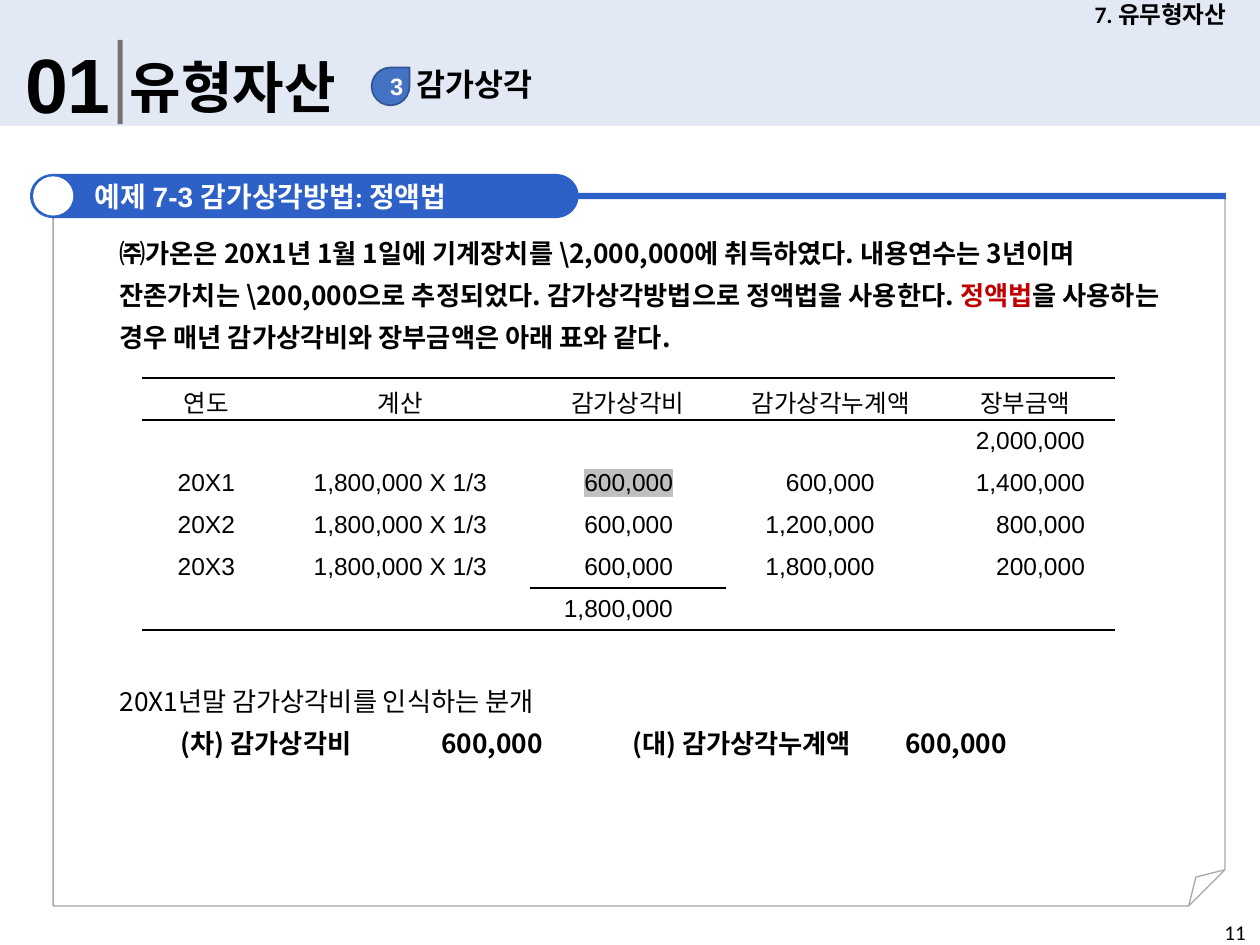
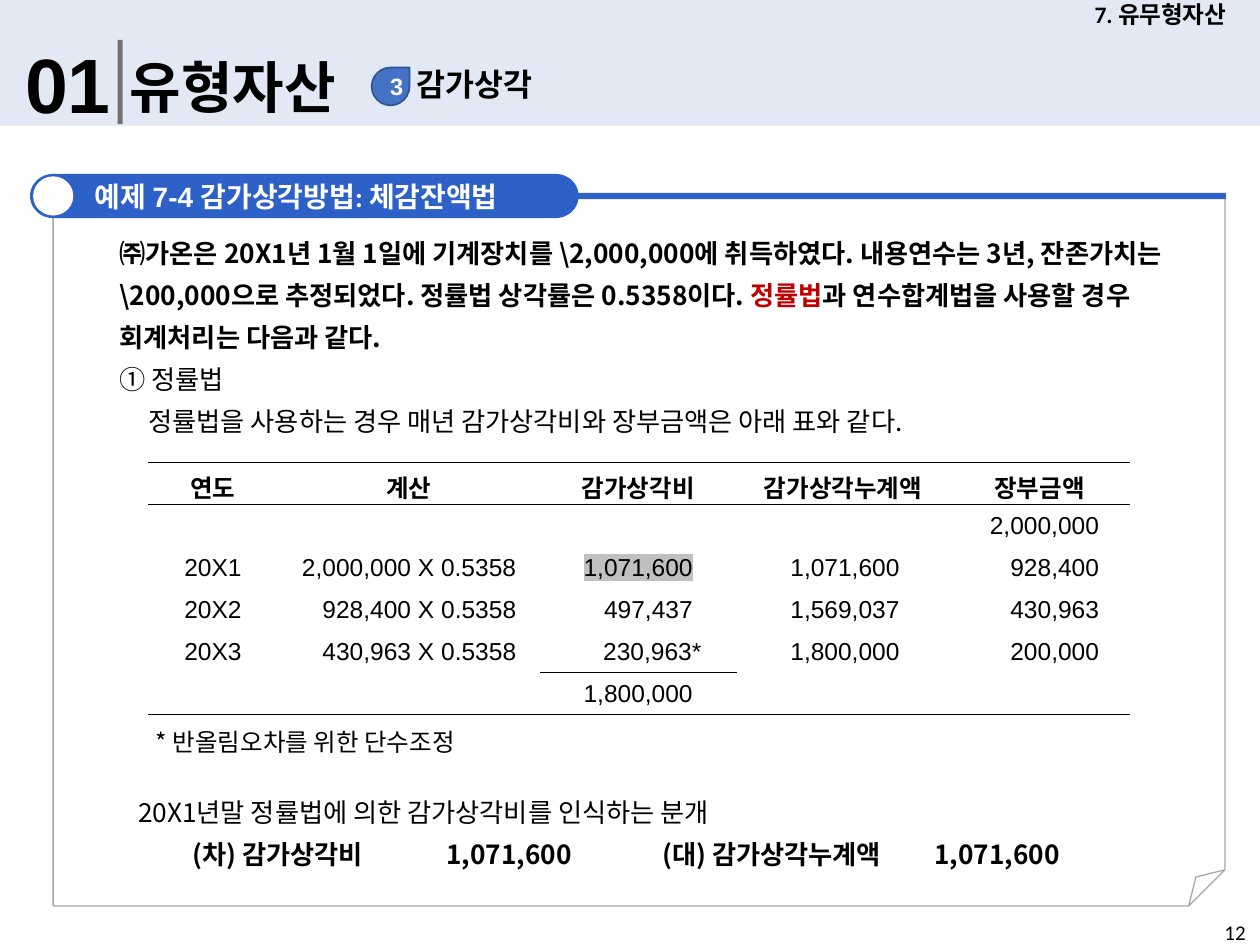
from dataclasses import dataclass
from itertools import product

from lxml.etree import SubElement
from pptx import Presentation
from pptx.dml.color import RGBColor
from pptx.enum.shapes import MSO_SHAPE as Shape
from pptx.enum.text import MSO_ANCHOR as Anchor, PP_ALIGN as Align
from pptx.oxml.ns import qn
from pptx.util import Pt


@dataclass(frozen=True)
class Theme:
    black: str = "000000"
    white: str = "FFFFFF"
    band: str = "DAE3F3"
    divider: str = "767171"
    badge: str = "4472C4"
    badge_line: str = "325491"
    banner: str = "2D61C8"
    page_line: str = "A6A6A6"
    accent: str = "C00000"
    highlight: str = "C0C0C0"
    latin: str = "Arial"
    heading: str = "Calibri"
    korean: str = "Noto Sans CJK KR"
    number_size: float = 44
    title_size: float = 32
    topic_size: float = 18
    banner_size: float = 16
    body_size: float = 15
    table_size: float = 14
    small_size: float = 13.5
    page_size: float = 12
    line_height: float = 24


THEME = Theme()
NO_TABLE_STYLE = "{2D5ABB26-0587-4C30-8999-92F81FD0307C}"
HEADINGS = ["연도", "계산", "감가상각비", "감가상각누계액", "장부금액"]
EXPENSE = 2
YEAR_1, YEAR_3, TOTAL = 2, 4, 5


def rgb(color):
    return RGBColor.from_string(color)


class SlideBuilder:
    def __init__(self, presentation, theme):
        self.presentation = presentation
        self.theme = theme
        self.slide = None

    def new_slide(self):
        self.slide = self.presentation.slides.add_slide(self.presentation.slide_layouts[6])

    def format_run(self, run, size, font, color=None, bold=False):
        run.font.size = Pt(size)
        run.font.bold = bold
        run.font.color.rgb = rgb(color or self.theme.black)
        run.font.name = font
        east_asian = SubElement(run.font._element, qn("a:ea"))
        east_asian.set("typeface", self.theme.korean)

    def add_runs(self, paragraph, runs, size):
        for text, font, color, bold in runs:
            run = paragraph.add_run()
            run.text = text
            self.format_run(run, size, font, color, bold)

    def frame(self, shape, anchor=Anchor.TOP, left=7.2, right=7.2):
        text_frame = shape.text_frame
        text_frame.word_wrap = True
        text_frame.vertical_anchor = anchor
        text_frame.margin_left, text_frame.margin_right = Pt(left), Pt(right)
        text_frame.margin_top = text_frame.margin_bottom = Pt(3.6)
        return text_frame

    def text(self, box, text, size, font, bold=False, anchor=Anchor.MIDDLE,
             align=Align.LEFT, right=7.2):
        shape = self.slide.shapes.add_textbox(*map(Pt, box))
        text_frame = self.frame(shape, anchor, right=right)
        text_frame.text = text
        paragraph = text_frame.paragraphs[0]
        paragraph.alignment = align
        self.format_run(paragraph.runs[0], size, font, bold=bold)

    def paragraphs(self, box, rows):
        shape = self.slide.shapes.add_textbox(*map(Pt, box))
        text_frame = self.frame(shape, left=7.9, right=7.9)
        for index, (runs, indent, tabs) in enumerate(rows):
            paragraph = text_frame.add_paragraph() if index else text_frame.paragraphs[0]
            paragraph.line_spacing = Pt(self.theme.line_height)
            properties = paragraph._p.get_or_add_pPr()
            properties.set("marL", str(Pt(indent)))
            if tabs:
                tab_list = SubElement(properties, qn("a:tabLst"))
                for position in tabs:
                    SubElement(tab_list, qn("a:tab"), pos=str(Pt(position)), algn="l")
            self.add_runs(paragraph, runs, self.theme.body_size)

    def shape(self, kind, box, fill=None, line=None, line_width=1, alpha=None):
        shape = self.slide.shapes.add_shape(kind, *map(Pt, box))
        shape.shadow.inherit = False
        if fill:
            shape.fill.solid()
            shape.fill.fore_color.rgb = rgb(fill)
        else:
            shape.fill.background()
        if alpha:
            color = shape.element.spPr.find(f".//{qn('a:srgbClr')}")
            SubElement(color, qn("a:alpha"), val=str(alpha * 1000))
        if line:
            shape.line.color.rgb = rgb(line)
            shape.line.width = Pt(line_width)
        else:
            shape.line.fill.background()
        return shape

    def border(self, cell, side):
        properties = cell._tc.get_or_add_tcPr()
        line = SubElement(properties, qn(f"a:{side}"), w=str(Pt(1)))
        fill = SubElement(line, qn("a:solidFill"))
        SubElement(fill, qn("a:srgbClr"), val=self.theme.black)
        properties.insert(len(properties.findall(qn("a:lnT"))) if side == "lnB" else 0, line)

    def cell(self, cell, text, align, is_header, bold):
        cell.fill.background()
        cell.margin_top = cell.margin_bottom = 0
        cell.vertical_anchor = Anchor.BOTTOM if is_header else Anchor.MIDDLE
        if text:
            cell.text = text
            paragraph = cell.text_frame.paragraphs[0]
            paragraph.alignment = align
            self.format_run(paragraph.runs[0], self.theme.table_size, self.theme.latin, bold=bold)

    def mark(self, cell):
        properties = cell.text_frame.paragraphs[0].runs[0].font._element
        highlight = SubElement(properties, qn("a:highlight"))
        SubElement(highlight, qn("a:srgbClr"), val=self.theme.highlight)
        properties.find(qn("a:solidFill")).addnext(highlight)

    def table(self, left, top, widths, rows, right_margins, bold_header):
        rows = [HEADINGS] + rows
        height = self.theme.line_height
        graphic_frame = self.slide.shapes.add_table(
            len(rows), len(widths), Pt(left), Pt(top), Pt(sum(widths)), Pt(height * len(rows)))
        graphic_frame.element.find(f".//{qn('a:tableStyleId')}").text = NO_TABLE_STYLE
        table = graphic_frame.table
        table.first_row = table.horz_banding = False
        for column, width in zip(table.columns, widths):
            column.width = Pt(width)
        for row in table.rows:
            row.height = Pt(height)
        for row, column in product(range(len(rows)), range(len(widths))):
            cell = table.cell(row, column)
            margin = right_margins[column]
            is_header = row == 0
            is_number = margin is not None and not is_header
            text = rows[row][column]
            self.cell(cell, text, Align.RIGHT if is_number else Align.CENTER,
                      is_header, is_header and bold_header)
            if is_number:
                cell.margin_right = Pt(margin - 5 if text.endswith("*") else margin)
            if is_header:
                self.border(cell, "lnT")
            if row in (0, TOTAL) or (row, column) == (YEAR_3, EXPENSE):
                self.border(cell, "lnB")
        self.mark(table.cell(YEAR_1, EXPENSE))

    def header(self):
        theme = self.theme
        self.shape(Shape.RECTANGLE, (0, 0, 720, 72), theme.band, alpha=76)
        self.text((7.2, 16.6, 65.5, 60.5), "01", theme.number_size, theme.latin, True, Anchor.BOTTOM)
        self.shape(Shape.RECTANGLE, (67.3, 22.8, 2.9, 48.2), theme.divider)
        self.text((67, 26, 404, 46), "유형자산", theme.title_size, theme.heading, True)
        self.text((231, 33.8, 222.5, 28.8), "감가상각", theme.topic_size, theme.heading, True)
        badge = self.shape(Shape.TEAR, (212.4, 38.6, 21.6, 21.6), theme.badge, theme.badge_line)
        text_frame = self.frame(badge, Anchor.MIDDLE, right=0)
        text_frame.margin_top = text_frame.margin_bottom = 0
        text_frame.text = "3"
        text_frame.paragraphs[0].alignment = Align.CENTER
        self.format_run(text_frame.paragraphs[0].runs[0], theme.small_size, theme.latin,
                        theme.white, True)
        self.text((606.2, 0, 113.8, 16.6), "7. 유무형자산", theme.small_size, theme.heading,
                  True, align=Align.CENTER)

    def example_panel(self, number, method):
        theme = self.theme
        page = self.shape(Shape.FOLDED_CORNER, (30.4, 112.3, 669.6, 405.4),
                          line=theme.page_line, line_width=0.75)
        adjustments = page.element.spPr.find(f".//{qn('a:avLst')}")
        SubElement(adjustments, qn("a:gd"), name="adj", fmla="val 5100")
        self.shape(Shape.RECTANGLE, (31, 110.2, 669.6, 3.6), theme.banner)
        for left in (17.2, 304.5):
            self.shape(Shape.OVAL, (left, 99.4, 26.2, 25.2), theme.banner)
        banner = self.shape(Shape.RECTANGLE, (29.5, 99.4, 288, 25.2), theme.banner)
        text_frame = self.frame(banner, Anchor.MIDDLE, left=24.8)
        paragraph = text_frame.paragraphs[0]
        paragraph.alignment = Align.LEFT
        self.add_runs(paragraph, [
            ("예제 ", theme.heading, theme.white, True),
            (f"{number} ", theme.latin, theme.white, True),
            (f"감가상각방법: {method}", theme.heading, theme.white, True),
        ], theme.banner_size)
        self.shape(Shape.OVAL, (18.9, 100.8, 23, 22.4), theme.white)

    def body_run(self, text, bold=False, color=None):
        return text, self.theme.korean, color, bold

    def problem(self, before, method, after, steps=()):
        question = [self.body_run(before, True),
                    self.body_run(method, True, self.theme.accent),
                    self.body_run(after, True)]
        rows = [(question, 0, ())]
        rows += [([self.body_run(text)], indent, ()) for text, indent in steps]
        self.paragraphs((60.4, 126, 612.8, 79.2 + len(steps) * self.theme.line_height), rows)

    def journal_entry(self, left, top, title, amount, tabs):
        entry = f"\t(차) 감가상각비\t{amount}\t(대) 감가상각누계액\t{amount}"
        self.paragraphs((left, top, 612, 55.2), [
            ([self.body_run(title)], 0, ()),
            ([self.body_run(entry, True)], 0, tabs),
        ])

    def page_number(self, number):
        self.text((692.6, 522, 27.4, 18), number, self.theme.page_size, self.theme.heading,
                  anchor=Anchor.TOP, right=0)


def straight_line_slide(builder):
    builder.new_slide()
    builder.header()
    builder.example_panel("7-3", "정액법")
    builder.problem(
        "㈜가온은 20X1년 1월 1일에 기계장치를 \\2,000,000에 취득하였다. 내용연수는 3년이며 "
        "잔존가치는 \\200,000으로 추정되었다. 감가상각방법으로 정액법을 사용한다. ",
        "정액법", "을 사용하는 경우 매년 감가상각비와 장부금액은 아래 표와 같다.")
    builder.table(81.2, 216, [73.4, 148.4, 111.6, 120.2, 102.2], [
        ["", "", "", "", "2,000,000"],
        ["20X1", "1,800,000 X 1/3", "600,000", "600,000", "1,400,000"],
        ["20X2", "1,800,000 X 1/3", "600,000", "1,200,000", "800,000"],
        ["20X3", "1,800,000 X 1/3", "600,000", "1,800,000", "200,000"],
        ["", "", "1,800,000", "", ""],
    ], [None, None, 30, 35, 17], False)
    builder.journal_entry(60.4, 382, "20X1년말 감가상각비를 인식하는 분개", "600,000",
                          (35, 184, 293, 449))
    builder.page_number("11")


def declining_balance_slide(builder):
    builder.new_slide()
    builder.header()
    builder.example_panel("7-4", "체감잔액법")
    builder.problem(
        "㈜가온은 20X1년 1월 1일에 기계장치를 \\2,000,000에 취득하였다. 내용연수는 3년, "
        "잔존가치는 \\200,000으로 추정되었다. 정률법 상각률은 0.5358이다. ",
        "정률법", "과 연수합계법을 사용할 경우 회계처리는 다음과 같다.",
        [("① 정률법", 0),
         ("정률법을 사용하는 경우 매년 감가상각비와 장부금액은 아래 표와 같다.", 16.5)])
    builder.table(84.6, 264.4, [74.2, 149.8, 112.3, 121.7, 103], [
        ["", "", "", "", "2,000,000"],
        ["20X1", "2,000,000 X 0.5358", "1,071,600", "1,071,600", "928,400"],
        ["20X2", "928,400 X 0.5358", "497,437", "1,569,037", "430,963"],
        ["20X3", "430,963 X 0.5358", "230,963*", "1,800,000", "200,000"],
        ["", "", "1,800,000", "", ""],
    ], [None, 13.5, 25, 28.5, 17.5], True)
    builder.text((82, 411.8, 210, 24.5), "* 반올림오차를 위한 단수조정",
                 THEME.table_size, THEME.korean)
    builder.journal_entry(71, 445.7, "20X1년말 정률법에 의한 감가상각비를 인식하는 분개",
                          "1,071,600", (31, 176, 299.5, 455))
    builder.page_number("12")


def main():
    presentation = Presentation()
    presentation.slide_width, presentation.slide_height = Pt(720), Pt(540)
    builder = SlideBuilder(presentation, THEME)
    straight_line_slide(builder)
    declining_balance_slide(builder)
    presentation.save("out.pptx")


if __name__ == "__main__":
    main()
